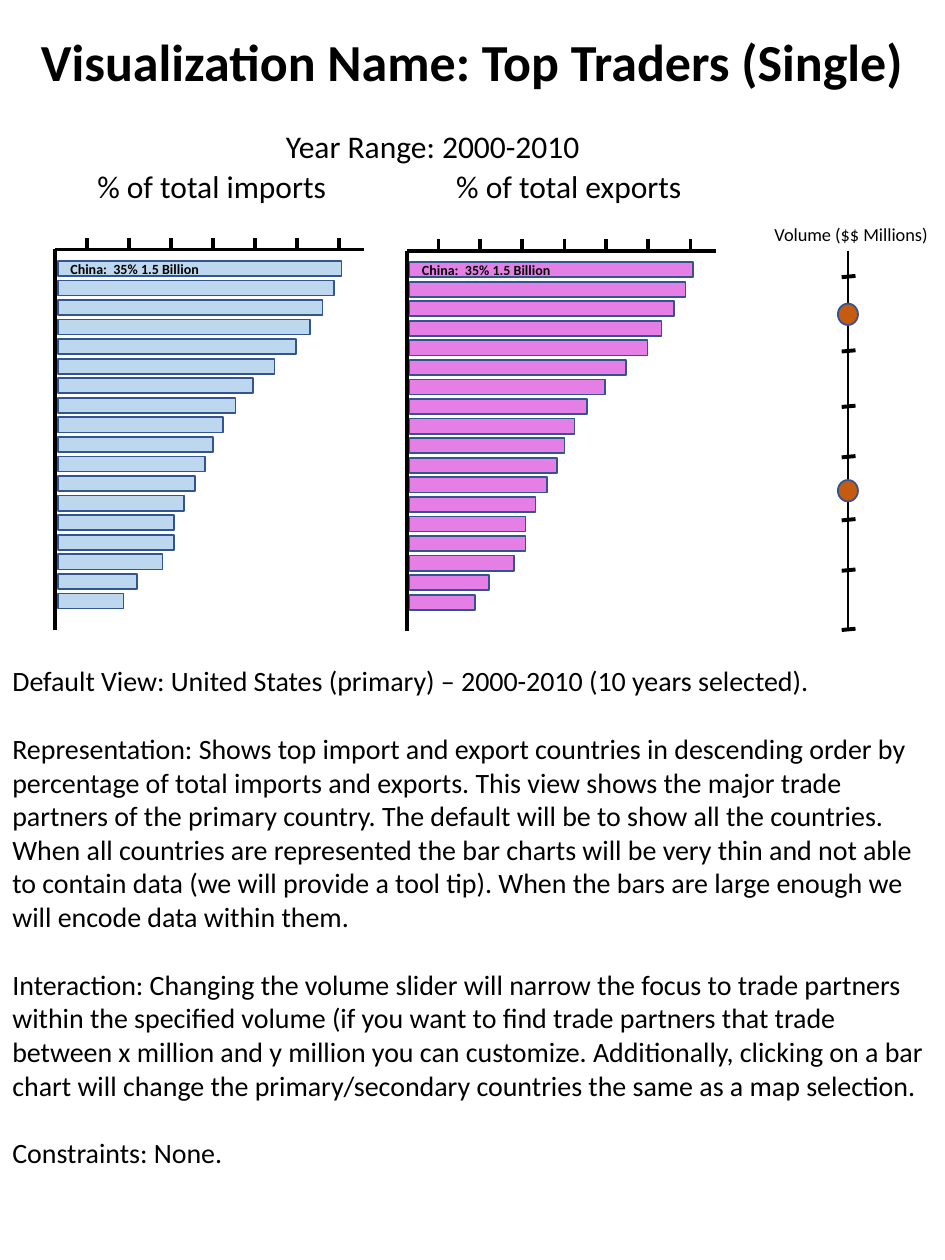
from lxml import etree
from pptx import Presentation
from pptx.dml.color import RGBColor
from pptx.enum.shapes import MSO_CONNECTOR, MSO_SHAPE
from pptx.enum.text import MSO_ANCHOR as Anchor, MSO_AUTO_SIZE as AutoSize, PP_ALIGN as Align
from pptx.oxml.ns import qn
from pptx.util import Inches, Pt

BLACK, OUTLINE = "000000", "325491"
BAR_WIDTHS = [2.25, 2.19, 2.1, 2, 1.89, 1.72, 1.55, 1.41, 1.31,
              1.23, 1.17, 1.09, 1, 0.92, 0.92, 0.83, 0.63, 0.52]
BAR_PITCH = (4.71 - 2.07) / (len(BAR_WIDTHS) - 1)
BODY = [
    "Default View: United States (primary) – 2000-2010 (10 years selected).",
    "Representation: Shows top import and export countries in descending order by "
    "percentage of total imports and exports. This view shows the major trade partners "
    "of the primary country. The default will be to show all the countries. When all "
    "countries are represented the bar charts will be very thin and not able to contain "
    "data (we will provide a tool tip). When the bars are large enough we will encode "
    "data within them.",
    "Interaction: Changing the volume slider will narrow the focus to trade partners "
    "within the specified volume (if you want to find trade partners that trade between "
    "x million and y million you can customize. Additionally, clicking on a bar chart "
    "will change the primary/secondary countries the same as a map selection.",
    "Constraints: None.",
]


def color(value):
    return RGBColor.from_string(value)


def write(shape, paragraphs, size, bold=False, align=Align.LEFT, anchor=Anchor.TOP,
          wrap=True, line_spacing=None, space_after=0):
    frame = shape.text_frame
    frame.word_wrap = wrap
    frame.auto_size = AutoSize.NONE
    frame.vertical_anchor = anchor
    for index, text in enumerate(paragraphs):
        paragraph = frame.add_paragraph() if index else frame.paragraphs[0]
        paragraph.alignment = align
        paragraph.space_after = Pt(space_after)
        if line_spacing:
            paragraph.line_spacing = line_spacing
        run = paragraph.add_run()
        run.text = text
        run.font.name = "Calibri"
        run.font.size = Pt(size)
        run.font.bold = bold
        run.font.color.rgb = color(BLACK)


def add_text(slide, left, top, width, height, paragraphs, size, **style):
    box = slide.shapes.add_textbox(Inches(left), Inches(top), Inches(width), Inches(height))
    write(box, paragraphs, size, **style)


def add_line(slide, x1, y1, x2, y2, weight=2.25):
    line = slide.shapes.add_connector(
        MSO_CONNECTOR.STRAIGHT, Inches(x1), Inches(y1), Inches(x2), Inches(y2))
    line.line.color.rgb = color(BLACK)
    line.line.width = Pt(weight)
    etree.SubElement(line._element.spPr, qn("a:effectLst"))


def add_shape(slide, kind, left, top, width, height, fill, alpha=None):
    shape = slide.shapes.add_shape(
        kind, Inches(left), Inches(top), Inches(width), Inches(height))
    shape.shadow.inherit = False
    shape.fill.solid()
    shape.fill.fore_color.rgb = color(fill)
    if alpha:
        fill_color = shape._element.spPr.find(qn("a:solidFill"))[0]
        etree.SubElement(fill_color, qn("a:alpha")).set("val", str(alpha * 1000))
    shape.line.color.rgb = color(OUTLINE)
    shape.line.width = Pt(1)
    return shape


def add_title(slide, text):
    title = slide.shapes.title
    title.left, title.top = Inches(0), Inches(0.24)
    title.width, title.height = Inches(7.5), Inches(0.64)
    write(title, [text], 29.7, bold=True, align=Align.CENTER, line_spacing=0.9)


def add_bar_panel(slide, left, top, fill, alpha=None):
    # Axes and ticks
    add_line(slide, left, top, left + 2.45, top)
    add_line(slide, left, top, left, top + 3.02)
    for index in range(7):
        x = left + 0.25 + index / 3
        add_line(slide, x, top, x, top - 0.09)
    # Bars in descending order
    for index, width in enumerate(BAR_WIDTHS):
        bar = add_shape(slide, MSO_SHAPE.RECTANGLE, left + 0.02,
                        top + 0.09 + index * BAR_PITCH, width, 0.12, fill, alpha)
        if index == 0:
            write(bar, ["China:  35% 1.5 Billion"], 8, bold=True, anchor=Anchor.MIDDLE)


def add_volume_slider(slide, left, top):
    center = left + 0.72
    add_line(slide, center, top + 0.27, center, top + 3.29, weight=1.5)
    for handle in (0.69, 2.09):
        add_shape(slide, MSO_SHAPE.OVAL, center - 0.08, top + handle, 0.16, 0.17, "C55A11")
    add_text(slide, left, top, 1.49, 0.28, ["Volume ($$ Millions)"], 10.5, align=Align.CENTER)
    for tick in (0.48, 1.07, 1.51, 1.91, 2.41, 2.81, 3.28):
        add_line(slide, center - 0.05, top + tick, center + 0.06, top + tick - 0.01)


presentation = Presentation()
presentation.slide_width, presentation.slide_height = Inches(7.5), Inches(10)
slide = presentation.slides.add_slide(presentation.slide_layouts[5])

# Headings
add_title(slide, "Visualization Name: Top Traders (Single)")
add_text(slide, 2.17, 0.96, 2.56, 0.4, ["Year Range: 2000-2010"], 18, wrap=False)
add_text(slide, 0.44, 1.28, 2.48, 0.4, ["% of total imports"], 18, align=Align.CENTER)
add_text(slide, 3.35, 1.28, 2.33, 0.4, ["% of total exports"], 18, align=Align.CENTER)

# Import and export bars, volume slider
add_bar_panel(slide, 0.44, 1.98, "BDD7EE")
add_bar_panel(slide, 3.23, 1.99, "CC00CC", alpha=50)
add_volume_slider(slide, 6.01, 1.72)

# Description
add_text(slide, 0, 5.22, 7.5, 4.81, BODY, 16, space_after=19.5)

presentation.save("out.pptx")
